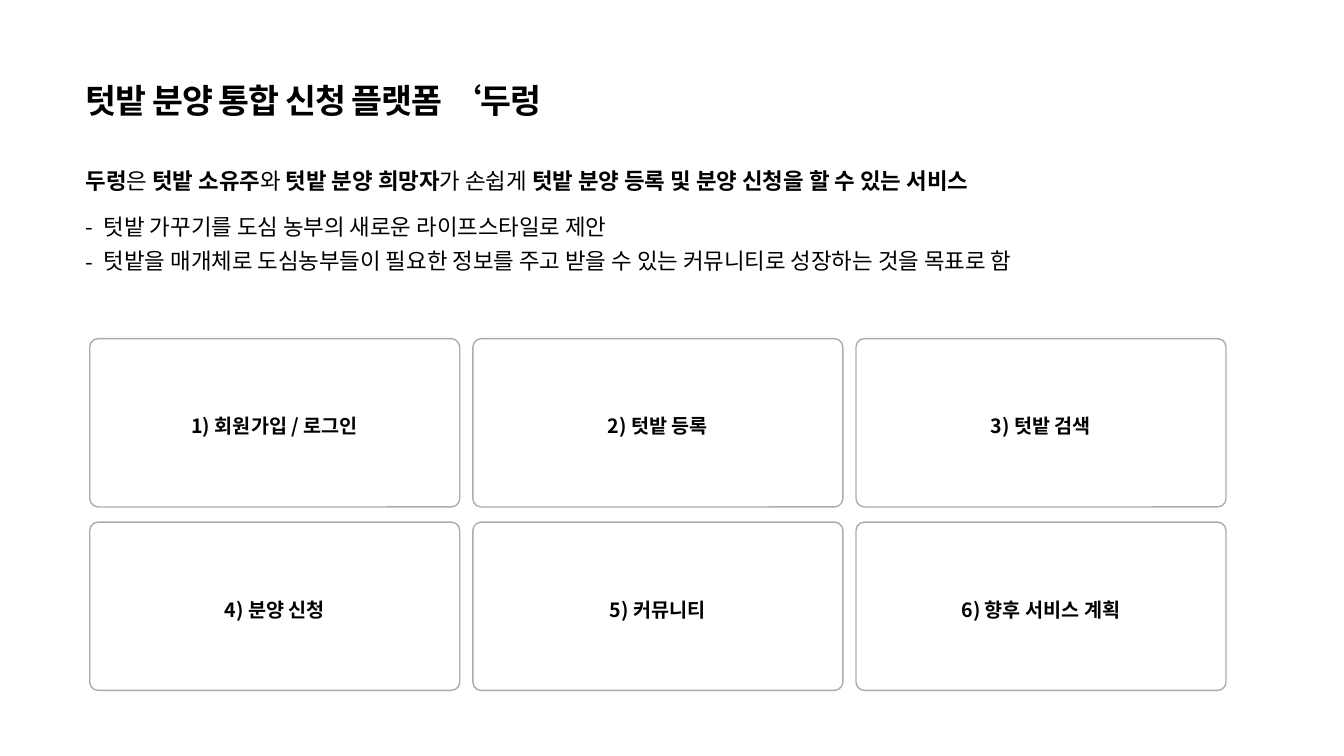
from dataclasses import dataclass
from lxml.etree import SubElement
from pptx import Presentation
from pptx.dml.color import RGBColor
from pptx.enum.shapes import MSO_SHAPE
from pptx.enum.text import MSO_ANCHOR, MSO_AUTO_SIZE, PP_ALIGN
from pptx.oxml.ns import qn
from pptx.util import Inches, Pt


@dataclass(frozen=True)
class Theme:
    font: str = "Noto Sans CJK KR"
    ink: RGBColor = RGBColor(0, 0, 0)
    border: RGBColor = RGBColor(0xAF, 0xAB, 0xAB)
    title_size: int = 24
    body_size: int = 16
    card_size: int = 14
    line_spacing: float = 1.27


THEME = Theme()

HEADLINE = "텃밭 분양 통합 신청 플랫폼 ‘두렁"
SUMMARY = [
    ("두렁", True),
    ("은", False),
    (" 텃밭 소유주", True),
    ("와 ", False),
    ("텃밭 분양 희망자", True),
    ("가 손쉽게 ", False),
    ("텃밭 분양 등록 및 분양 신청을 할 수 있는 서비스", True),
]
GOALS = [
    "텃밭 가꾸기를 도심 농부의 새로운 라이프스타일로 제안",
    "텃밭을 매개체로 도심농부들이 필요한 정보를 주고 받을 수 있는 커뮤니티로 성장하는 것을 목표로 함",
]
FEATURES = ["회원가입 / 로그인", "텃밭 등록", "텃밭 검색", "분양 신청", "커뮤니티", "향후 서비스 계획"]

COLUMNS = 3
GRID_LEFT, GRID_TOP = 0.89, 3.36
CARD_WIDTH, CARD_HEIGHT = 3.67, 1.67
COLUMN_STEP, ROW_STEP = 3.8, 1.82
GOAL_INDENT = 0.18


def place(part, left, top, width, height):
    part.left, part.top = Inches(left), Inches(top)
    part.width, part.height = Inches(width), Inches(height)


def style_run(run, size, bold):
    run.font.size = Pt(size)
    run.font.bold = bold
    run.font.color.rgb = THEME.ink
    run.font.name = THEME.font
    SubElement(run.font._element, qn("a:ea"), typeface=THEME.font)


def style_paragraph(paragraph, align=PP_ALIGN.LEFT, spacing=THEME.line_spacing):
    paragraph.alignment = align
    paragraph.line_spacing = spacing
    paragraph.space_before = paragraph.space_after = Pt(0)


def set_frame(frame, anchor=MSO_ANCHOR.TOP):
    frame.word_wrap = True
    frame.auto_size = MSO_AUTO_SIZE.NONE
    frame.vertical_anchor = anchor


def add_dash(paragraph):
    properties = paragraph._p.get_or_add_pPr()
    properties.set("marL", str(Inches(GOAL_INDENT)))
    properties.set("indent", str(-Inches(GOAL_INDENT)))
    SubElement(properties, qn("a:buFont"), typeface=THEME.font)
    SubElement(properties, qn("a:buChar"), char="-")


presentation = Presentation()
presentation.slide_width, presentation.slide_height = Inches(13.33), Inches(7.5)
slide = presentation.slides.add_slide(presentation.slide_layouts[1])
for placeholder in slide.placeholders:
    if placeholder.placeholder_format.idx > 1:
        placeholder._element.getparent().remove(placeholder._element)

headline = slide.shapes.title
place(headline, 0.75, 0.74, 6.67, 0.5)
set_frame(headline.text_frame)
headline.text_frame.text = HEADLINE
style_paragraph(headline.text_frame.paragraphs[0], spacing=1.0)
headline_run = headline.text_frame.paragraphs[0].runs[0]
style_run(headline_run, THEME.title_size, True)
headline_run.font._element.set("spc", "-70")

summary = slide.shapes.add_textbox(Inches(0.75), Inches(1.54), Inches(11.99), Inches(0.45))
set_frame(summary.text_frame)
sentence = summary.text_frame.paragraphs[0]
style_paragraph(sentence)
for phrase, bold in SUMMARY:
    run = sentence.add_run()
    run.text = phrase
    style_run(run, THEME.body_size, bold)

goals = slide.placeholders[1]
place(goals, 0.75, 1.99, 11.99, 0.86)
set_frame(goals.text_frame)
goals.text_frame.text = "\n".join(GOALS)
for goal in goals.text_frame.paragraphs:
    style_paragraph(goal)
    add_dash(goal)
    style_run(goal.runs[0], THEME.body_size, False)

for index, feature in enumerate(FEATURES):
    row, column = divmod(index, COLUMNS)
    card = slide.shapes.add_shape(
        MSO_SHAPE.ROUNDED_RECTANGLE,
        Inches(GRID_LEFT + column * COLUMN_STEP),
        Inches(GRID_TOP + row * ROW_STEP),
        Inches(CARD_WIDTH),
        Inches(CARD_HEIGHT),
    )
    card.adjustments[0] = 0.05
    card.shadow.inherit = False
    card.fill.background()
    card.line.color.rgb = THEME.border
    card.line.width = Pt(1)
    set_frame(card.text_frame, MSO_ANCHOR.MIDDLE)
    card.text_frame.text = f"{index + 1}) {feature}"
    label = card.text_frame.paragraphs[0]
    style_paragraph(label, PP_ALIGN.CENTER)
    style_run(label.runs[0], THEME.card_size, True)

presentation.save("out.pptx")
